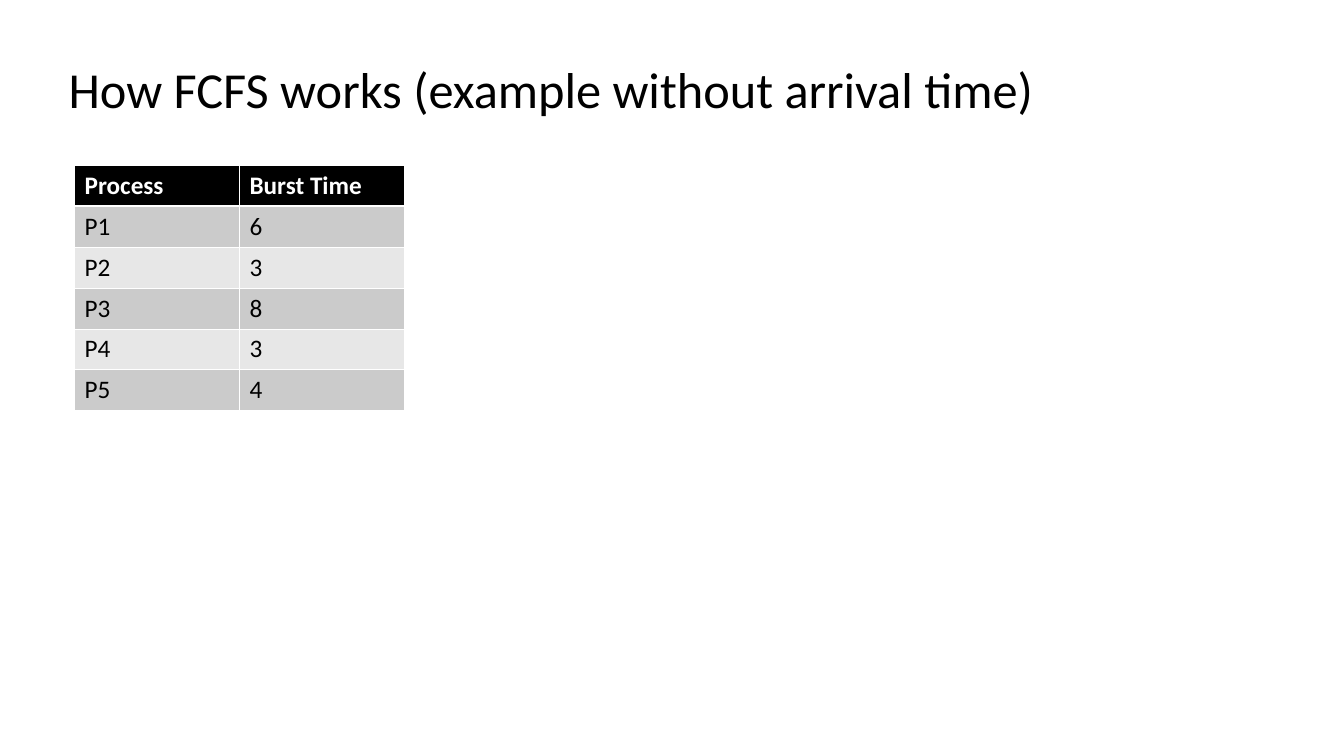
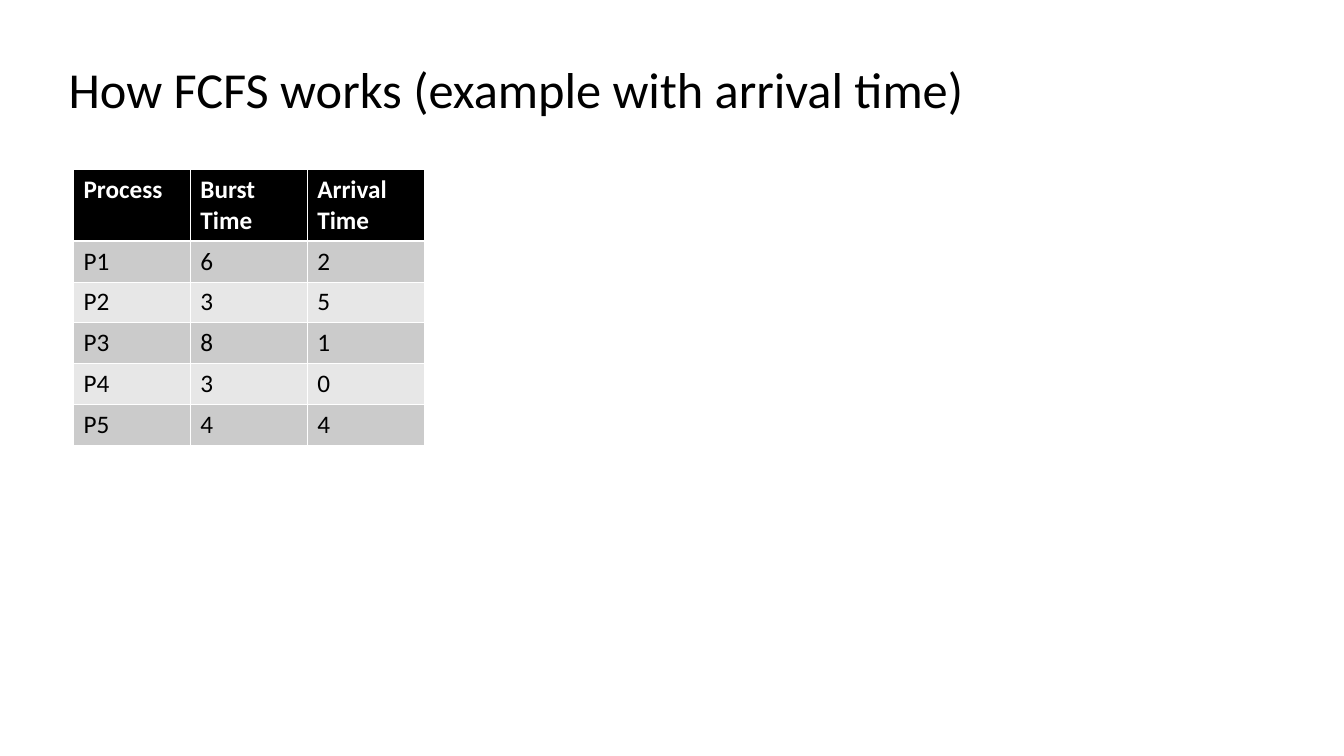
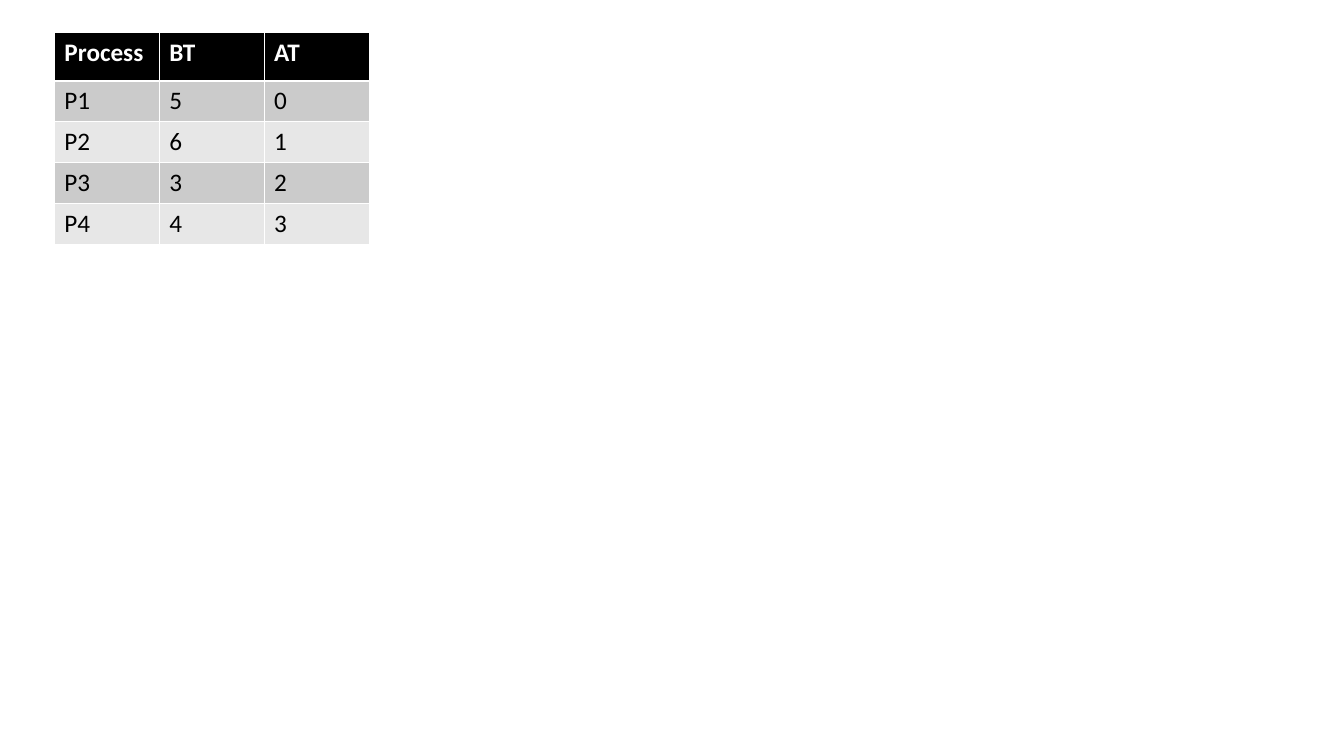
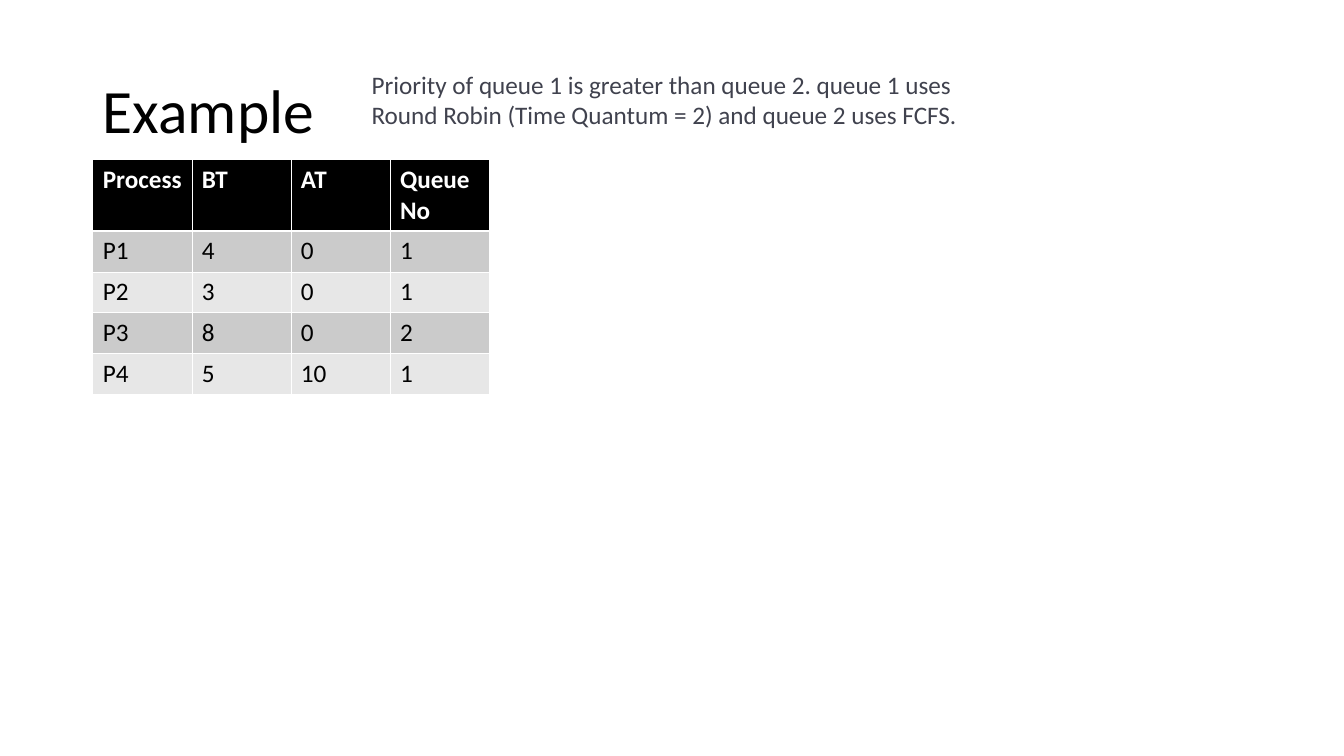
"""Build four scheduling slides with process tables."""
from dataclasses import dataclass
from typing import Optional

from lxml import etree
from pptx import Presentation
from pptx import util as u
from pptx.dml.color import RGBColor
from pptx.enum import text
from pptx.oxml import ns

BLACK = RGBColor(0x00, 0x00, 0x00)
WHITE = RGBColor(0xFF, 0xFF, 0xFF)
DARK = RGBColor(0xCB, 0xCB, 0xCB)
LIGHT = RGBColor(0xE7, 0xE7, 0xE7)
SLATE = RGBColor(0x40, 0x42, 0x4E)
WIDE, HIGH = u.Inches(13.34), u.Inches(7.5)
ROW = 5.4
THIN, THICK = 0.45, 1.47
FONT = {"name": "Calibri", "size": u.Pt(18), "bold": False}


@dataclass(frozen=True)
class Box:
    """Place and size in percent of the slide."""
    x: float
    y: float
    w: float
    h: float

    def area(self) -> tuple:
        """Give the box as left, top, width and height."""
        return (across(self.x), down(self.y), across(self.w), down(self.h))


@dataclass(frozen=True)
class Title:
    """Heading of a slide."""
    words: str
    box: Box
    size: int = 36


@dataclass(frozen=True)
class Grid:
    """Table whose box height is that of its header row."""
    box: Box
    head: tuple
    rows: tuple


@dataclass(frozen=True)
class Note:
    """Short text beside the title."""
    words: str
    box: Box


@dataclass(frozen=True)
class Page:
    """Content of one slide."""
    grid: Grid
    title: Optional[Title] = None
    note: Optional[Note] = None


TOP = Box(4.35, 5.73, 86.2, 12.8)

PAGES = (
    Page(
        Grid(Box(5.55, 21.87, 24.55, ROW), ("Process", "Burst Time"),
             (("P1", 6), ("P2", 3), ("P3", 8), ("P4", 3), ("P5", 4))),
        Title("How FCFS works (example without arrival time)", TOP),
    ),
    Page(
        Grid(Box(5.47, 22.4, 26.1, 9.4),
             ("Process", "Burst Time", "Arrival Time"),
             (("P1", 6, 2), ("P2", 3, 5), ("P3", 8, 1), ("P4", 3, 0),
              ("P5", 4, 4))),
        Title("How FCFS works (example with arrival time)", TOP),
    ),
    Page(
        Grid(Box(4.05, 4.27, 23.4, 6.4), ("Process", "BT", "AT"),
             (("P1", 5, 0), ("P2", 6, 1), ("P3", 3, 2), ("P4", 4, 3))),
    ),
    Page(
        Grid(Box(6.9, 21.07, 29.5, 9.4), ("Process", "BT", "AT", "Queue No"),
             (("P1", 4, 0, 1), ("P2", 3, 0, 1), ("P3", 8, 0, 2),
              ("P4", 5, 10, 1))),
        Title("Example", Box(6.9, 5.33, 86.2, 19.33), 44),
        Note("Priority of queue 1 is greater than queue 2. queue 1 uses "
             "Round Robin (Time Quantum = 2) and queue 2 uses FCFS.",
             Box(26.91, 8.53, 50, 13.33)),
    ),
)


def across(part: float) -> int:
    """Turn a percentage of the width into a length."""
    return round(WIDE * part / 100)


def down(part: float) -> int:
    """Turn a percentage of the height into a length."""
    return round(HIGH * part / 100)


def style(para, color: RGBColor, **more) -> None:
    """Format the font of a paragraph."""
    for key, value in {**FONT, **more}.items():
        setattr(para.font, key, value)
    para.font.color.rgb = color


def edge(cell, side: str, width: float) -> None:
    """Draw one white border of a cell."""
    props = cell._tc.get_or_add_tcPr()
    line = etree.SubElement(props, ns.qn(f"a:ln{side}"), w=str(u.Pt(width)))
    fill = etree.SubElement(line, ns.qn("a:solidFill"))
    etree.SubElement(fill, ns.qn("a:srgbClr"), val=str(WHITE))


def draw_title(slide, title: Title) -> None:
    """Fill and place the title."""
    shape = slide.shapes.title
    shape.left, shape.top, shape.width, shape.height = title.box.area()
    frame = shape.text_frame
    frame.text = title.words
    frame.auto_size = text.MSO_AUTO_SIZE.NONE
    frame.vertical_anchor = text.MSO_ANCHOR.MIDDLE
    para = frame.paragraphs[0]
    para.alignment = text.PP_ALIGN.LEFT
    para.line_spacing = 0.9
    style(para, BLACK, size=u.Pt(title.size))


def draw_grid(slide, grid: Grid) -> None:
    """Draw a table with a black header and grey bands."""
    lines = (grid.head, *grid.rows)
    left, top, width, head = grid.box.area()
    count = len(grid.head)
    table = slide.shapes.add_table(
        len(lines), count, left, top, width,
        head + down(ROW) * len(grid.rows)).table
    for col in table.columns:
        col.width = width // count
    for r, line in enumerate(lines):
        first = r == 0
        table.rows[r].height = head if first else down(ROW)
        for c, value in enumerate(line):
            cell = table.cell(r, c)
            cell.text = str(value)
            style(cell.text_frame.paragraphs[0],
                  WHITE if first else BLACK, bold=first)
            sides = {"L": THIN, "R": THIN,
                     "T": THICK if r == 1 else THIN,
                     "B": THICK if first else THIN}
            for side, size in sides.items():
                edge(cell, side, size)
            cell.fill.solid()
            cell.fill.fore_color.rgb = (
                BLACK if first else DARK if r % 2 else LIGHT)


def draw_note(slide, note: Note) -> None:
    """Draw a wrapped text box."""
    frame = slide.shapes.add_textbox(*note.box.area()).text_frame
    frame.word_wrap = True
    frame.margin_right = u.Inches(0.3)
    frame.text = note.words
    style(frame.paragraphs[0], SLATE)


def main() -> None:
    """Build and save the slides."""
    deck = Presentation()
    deck.slide_width, deck.slide_height = WIDE, HIGH
    for page in PAGES:
        name = "Title Only" if page.title else "Blank"
        slide = deck.slides.add_slide(deck.slide_layouts.get_by_name(name))
        if page.title:
            draw_title(slide, page.title)
        draw_grid(slide, page.grid)
        if page.note:
            draw_note(slide, page.note)
    deck.save("out.pptx")


if __name__ == "__main__":
    main()
